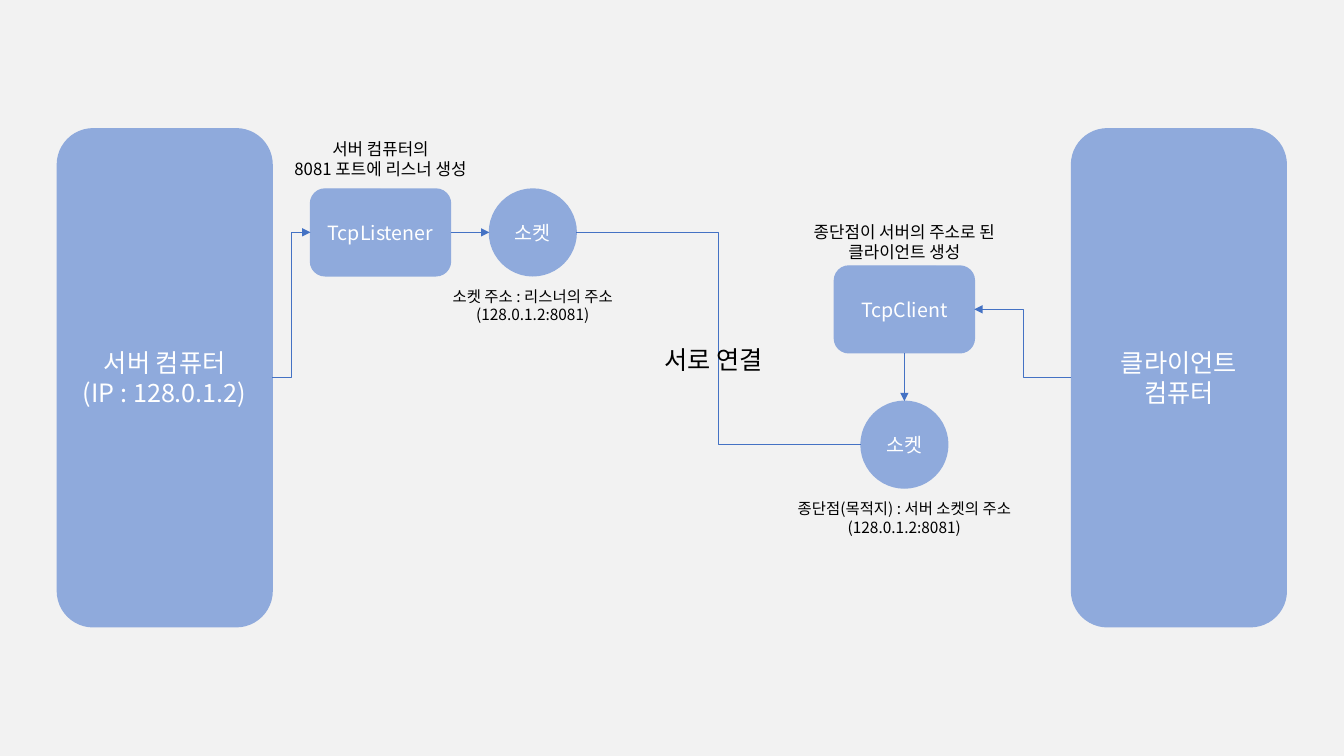
from lxml.etree import SubElement
from pptx import Presentation
from pptx.dml.color import RGBColor
from pptx.enum.shapes import MSO_CONNECTOR as Link, MSO_SHAPE as Shape
from pptx.enum.text import MSO_ANCHOR as Anchor, PP_ALIGN as Align
from pptx.oxml.ns import qn
from pptx.util import Pt

FONT = "Noto Sans CJK KR"
BACKGROUND, BLOCK, WIRE = "F2F2F2", "8FAADC", "4472C4"
WHITE, BLACK = "FFFFFF", "000000"
COMPUTER_SIZE, TCP_SIZE, SOCKET_SIZE = (153.4, 355.7), (100, 62), (62, 62)
TOP, LEFT, BOTTOM, RIGHT = range(4)


def color(value):
    """Turn a hex string into a colour."""
    return RGBColor.from_string(value)


def paint(fill, value):
    """Make a fill solid in the given colour."""
    fill.solid()
    fill.fore_color.rgb = color(value)


def write(box, lines, size, ink, align=Align.CENTER, anchor=Anchor.MIDDLE):
    """Write one paragraph per line into a box."""
    frame = box.text_frame
    for name, value in {"word_wrap": True, "vertical_anchor": anchor}.items():
        setattr(frame, name, value)
    for index, line in enumerate(lines):
        para = frame.add_paragraph() if index else frame.paragraphs[0]
        para.alignment = align
        span = para.add_run()
        span.text = line
        span.font.color.rgb = color(ink)
        for name, value in {"size": Pt(size), "name": FONT}.items():
            setattr(span.font, name, value)
        SubElement(span.font._element, qn("a:ea"), typeface=FONT)


def add_block(page, kind, left, top, extent, lines, size=14):
    """Add a filled shape with centred white text."""
    box = page.shapes.add_shape(kind, Pt(left), Pt(top), *map(Pt, extent))
    box.shadow.inherit = False
    paint(box.fill, BLOCK)
    paint(box.line.fill, BLOCK)
    box.line.width = Pt(1)
    write(box, lines, size, WHITE)
    return box


def add_label(page, left, top, extent, lines, size, align=Align.CENTER):
    """Add a black text label."""
    box = page.shapes.add_textbox(Pt(left), Pt(top), *map(Pt, extent))
    write(box, lines, size, BLACK, align, Anchor.TOP)


def add_caption(page, block, gap, extent, lines, size):
    """Add a label centred on a block, gap points from the block's top."""
    left = block.left.pt + (block.width.pt - extent[0]) / 2
    add_label(page, left, block.top.pt + gap, extent, lines, size)


def side_point(block, side):
    """Return the middle of one side of a block."""
    middle_x = block.left + block.width // 2
    middle_y = block.top + block.height // 2
    return {
        TOP: (middle_x, block.top),
        LEFT: (block.left, middle_y),
        BOTTOM: (middle_x, block.top + block.height),
        RIGHT: (block.left + block.width, middle_y),
    }[side]


def add_link(page, kind, start, start_side, end, end_side, arrow=True):
    """Join the sides of two blocks with a thin connector."""
    link = page.shapes.add_connector(
        kind, *side_point(start, start_side), *side_point(end, end_side))
    ends = ((start, start_side, link.begin_connect),
            (end, end_side, link.end_connect))
    for block, side, connect in ends:
        if block.auto_shape_type == Shape.ROUNDED_RECTANGLE or side == TOP:
            connect(block, side)
    paint(link.line.fill, WIRE)
    link.line.width = Pt(0.5)
    properties = link._element.spPr
    if arrow:
        SubElement(properties.find(qn("a:ln")), qn("a:tailEnd"), type="triangle")
    SubElement(properties, qn("a:effectLst"))


def main():
    """Build the socket connection slide."""
    deck = Presentation()
    deck.slide_width, deck.slide_height = Pt(960), Pt(540)
    page = deck.slides.add_slide(deck.slide_layouts[6])
    paint(page.background.fill, BACKGROUND)

    rounded = Shape.ROUNDED_RECTANGLE
    server = add_block(page, rounded, 41, 92, COMPUTER_SIZE,
                       ["서버 컴퓨터", "(IP : 128.0.1.2)"], 18)
    client = add_block(page, rounded, 765.4, 92, COMPUTER_SIZE,
                       ["클라이언트", "컴퓨터"], 18)
    listener = add_block(page, rounded, 221.8, 135, TCP_SIZE, ["TcpListener"])
    tcp_client = add_block(page, rounded, 596, 190, TCP_SIZE, ["TcpClient"])
    server_socket = add_block(page, Shape.OVAL, 349.6, 135, SOCKET_SIZE, ["소켓"])
    client_socket = add_block(page, Shape.OVAL, 615, 286.6, SOCKET_SIZE, ["소켓"])

    add_link(page, Link.ELBOW, server, RIGHT, listener, LEFT)
    add_link(page, Link.STRAIGHT, listener, RIGHT, server_socket, LEFT)
    add_link(page, Link.ELBOW, client, LEFT, tcp_client, RIGHT)
    add_link(page, Link.STRAIGHT, tcp_client, BOTTOM, client_socket, TOP)
    add_link(page, Link.ELBOW, client_socket, LEFT, server_socket, RIGHT, False)

    add_caption(page, listener, -39.4, (239, 36),
                ["서버 컴퓨터의", "8081 포트에 리스너 생성"], 12)
    add_caption(page, tcp_client, -35.4, (239, 36),
                ["종단점이 서버의 주소로 된", "클라이언트 생성"], 12)
    add_caption(page, server_socket, 66.4, (196.6, 34),
                ["소켓 주소 : 리스너의 주소(128.0.1.2:8081)"], 11)
    add_caption(page, client_socket, 66.4, (196.6, 34),
                ["종단점(목적지) : 서버 소켓의 주소(128.0.1.2:8081)"], 11)
    add_label(page, 467.4, 242.6, (93.6, 29), ["서로 연결"], 18, Align.LEFT)

    deck.save("out.pptx")


if __name__ == "__main__":
    main()
